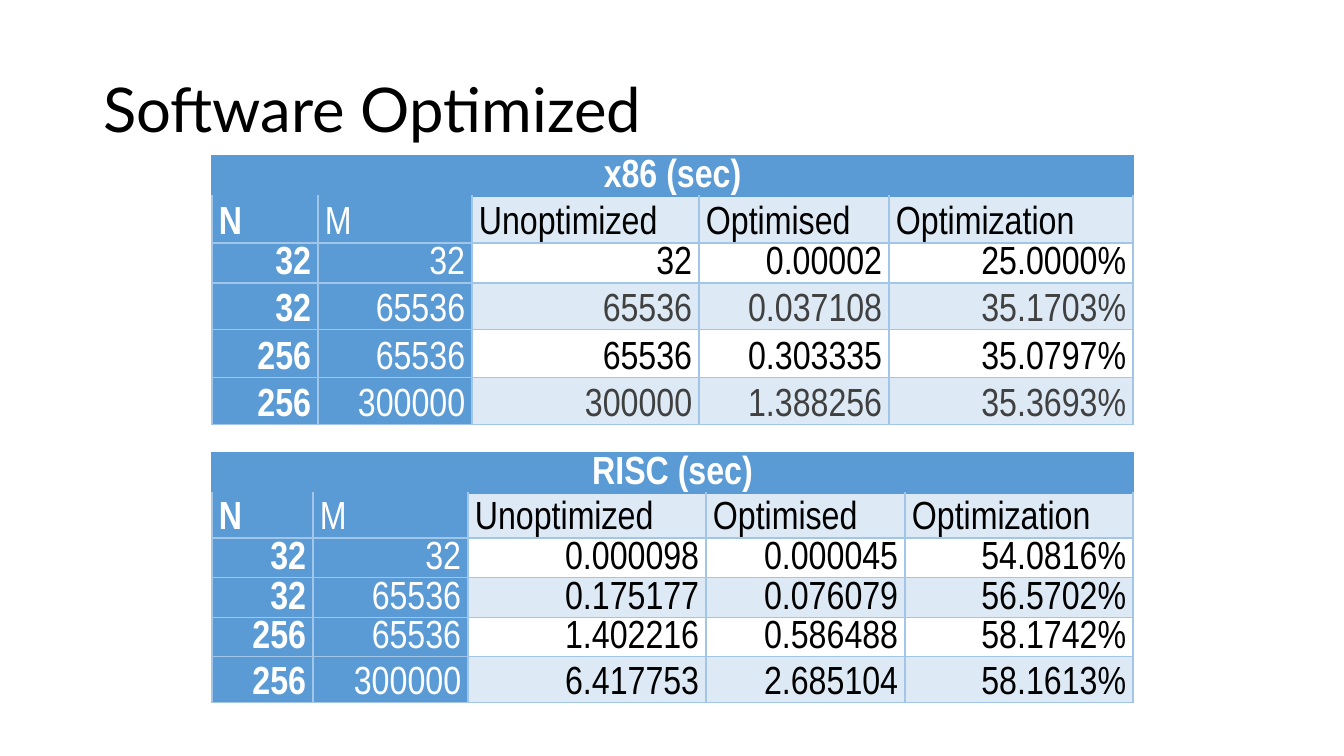
from dataclasses import dataclass

from lxml import etree
from pptx import Presentation
from pptx.dml.color import RGBColor
from pptx.enum.text import MSO_ANCHOR, PP_ALIGN
from pptx.oxml.ns import qn
from pptx.util import Emu, Pt

LEFT, CENTER, RIGHT = PP_ALIGN.LEFT, PP_ALIGN.CENTER, PP_ALIGN.RIGHT
MIDDLE, BOTTOM = MSO_ANCHOR.MIDDLE, MSO_ANCHOR.BOTTOM


@dataclass(frozen=True)
class Theme:
    blue: str = "5B9BD5"
    band: str = "DDEAF6"
    rule: str = "A2C6E7"
    white: str = "FFFFFF"
    black: str = "000000"
    grey: str = "404040"
    title_font: str = "Lato"
    table_font: str = "Arial Narrow"
    title_size: int = 44
    table_size: int = 28


THEME = Theme()

# Content
TITLE = "Software Optimized"
HEADINGS = ["Ν", "Μ", "Unoptimized", "Optimised", "Optimization"]
TABLES = [
    dict(
        caption="x86 (sec)", top=156, band_text=THEME.grey,
        widths=[106, 154, 227, 190, 244],
        heights=[40, 47, 40, 47, 48, 47],
        rows=[
            ["32", "32", "32", "0.00002", "25.0000%"],
            ["32", "65536", "65536", "0.037108", "35.1703%"],
            ["256", "65536", "65536", "0.303335", "35.0797%"],
            ["256", "300000", "300000", "1.388256", "35.3693%"],
        ],
    ),
    dict(
        caption="RISC (sec)", top=453, band_text=THEME.black,
        widths=[101, 155, 238, 199, 228],
        heights=[40, 45, 40, 39, 39, 46],
        rows=[
            ["32", "32", "0.000098", "0.000045", "54.0816%"],
            ["32", "65536", "0.175177", "0.076079", "56.5702%"],
            ["256", "65536", "1.402216", "0.586488", "58.1742%"],
            ["256", "300000", "6.417753", "2.685104", "58.1613%"],
        ],
    ),
]

# Layout
SLIDE_W, SLIDE_H = 1344, 756
TITLE_BOX = (93, 40, 1159, 146)
TABLE_LEFT = 212
CELL_INSET = 7
KEY_COLUMNS = 2


def px(n):
    return Emu(round(n * 914400 / 100.8))


def write(tf, text, *, font, size, color, bold=False, align=LEFT, spacing=1.07):
    p = tf.paragraphs[0]
    p.alignment = align
    p.line_spacing = spacing
    r = p.add_run()
    r.text = text
    r.font.name = font
    r.font.size = Pt(size)
    r.font.bold = bold
    r.font.color.rgb = RGBColor.from_string(color)


def set_borders(cell, color, top):
    tc_pr = cell._tc.get_or_add_tcPr()
    for i, side in enumerate(("lnL", "lnR", "lnT", "lnB")):
        ln = etree.Element(qn(f"a:{side}"), w=str(Pt(1)))
        fill = etree.SubElement(ln, qn("a:solidFill"))
        etree.SubElement(fill, qn("a:srgbClr"), val=top if side == "lnT" else color)
        tc_pr.insert(i, ln)


def format_cell(cell, text, fill, border, top_border, **text_format):
    cell.margin_left = cell.margin_right = px(CELL_INSET)
    cell.margin_top = cell.margin_bottom = 0
    cell.vertical_anchor = BOTTOM
    if fill:
        cell.fill.solid()
        cell.fill.fore_color.rgb = RGBColor.from_string(fill)
    else:
        cell.fill.background()
    set_borders(cell, border, top_border)
    write(cell.text_frame, text, font=THEME.table_font, size=THEME.table_size,
          **text_format)


def add_timing_table(slide, caption, top, band_text, widths, heights, rows):
    sp = slide.shapes.add_table(len(heights), len(widths), px(TABLE_LEFT), px(top),
                                px(sum(widths)), px(sum(heights)))
    table = sp.table
    table.first_row = table.horz_banding = False
    for column, width in zip(table.columns, widths):
        column.width = px(width)
    for row, height in zip(table.rows, heights):
        row.height = px(height)

    # Caption across all columns
    table.cell(0, 0).merge(table.cell(0, len(widths) - 1))
    format_cell(table.cell(0, 0), caption, THEME.blue, THEME.blue, THEME.blue,
                color=THEME.white, bold=True, align=CENTER)

    # Headings and banded values, with blue key columns
    for i, values in enumerate([HEADINGS] + rows):
        heading, banded = i == 0, i % 2 == 0
        for j, text in enumerate(values):
            if j < KEY_COLUMNS:
                fill, color = THEME.blue, THEME.white
            elif banded:
                fill, color = THEME.band, THEME.black if heading else band_text
            else:
                fill, color = None, THEME.black
            format_cell(table.cell(i + 1, j), text, fill, THEME.rule,
                        THEME.blue if heading else THEME.rule, color=color,
                        bold=j == 0, align=LEFT if heading else RIGHT)


def main():
    prs = Presentation()
    prs.slide_width, prs.slide_height = px(SLIDE_W), px(SLIDE_H)
    slide = prs.slides.add_slide(prs.slide_layouts[5])

    # Title
    title = slide.shapes.title
    title.left, title.top, title.width, title.height = map(px, TITLE_BOX)
    title.text_frame.vertical_anchor = MIDDLE
    write(title.text_frame, TITLE, font=THEME.title_font, size=THEME.title_size,
          color=THEME.black, spacing=0.9)

    # Timing tables
    for spec in TABLES:
        add_timing_table(slide, **spec)

    prs.save("out.pptx")


if __name__ == "__main__":
    main()
